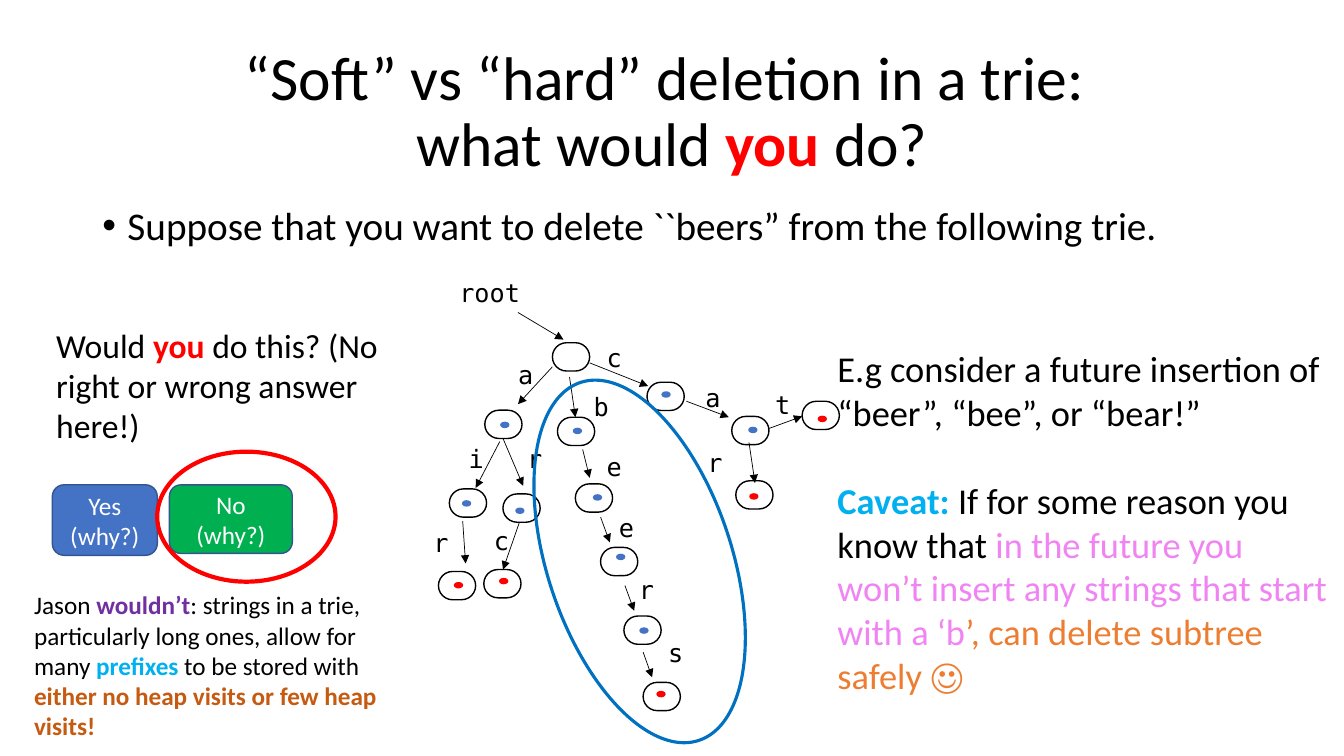
from lxml.etree import SubElement
from pptx import Presentation
from pptx.dml.color import RGBColor
from pptx.enum.shapes import MSO_CONNECTOR, MSO_SHAPE
from pptx.enum.text import MSO_ANCHOR as Anchor, MSO_AUTO_SIZE as AutoSize, PP_ALIGN as Align
from pptx.oxml.ns import qn
from pptx.util import Pt

COLOURS = {
    "black": "000000", "white": "FFFFFF", "red": "FF0000", "blue": "4472C4",
    "navy": "325491", "green": "00B050", "ring": "0070C0", "sky": "00B0F0",
    "pink": "F084F3", "orange": "ED7D31", "rust": "C55A11", "purple": "7030A0",
}
SANS, MONO = "Calibri", "DejaVu Sans Mono"
NODE_SIZE, DOT_SIZE = (26.6, 20.2), (5.6, 3.6)

# Each branch: letter, label position, arrow start, arrow end, node, dot, dot colour.
BRANCHES = [
    ("root", (321, 194.4), (370, 223.2), (402.5, 242.6), (394.6, 244.8), None, None),
    ("a", (363, 253.4), (394.6, 262), (370, 288.7), (346.3, 293), (357.8, 301.7), "blue"),
    ("b", (417, 275.8), (406.8, 269.3), (411, 298), (398.2, 298), (409.7, 306), "blue"),
    ("c", (426.2, 241.2), (421.2, 259.2), (463, 275.8), (462.2, 273), (473, 280), "blue"),
    ("e", (426.2, 319), (416.2, 321), (421.2, 341.3), (411, 345.6), (424, 353.5), "blue"),
    ("e", (435, 362.2), (429, 369.4), (435.6, 387.4), (429, 391), (440.6, 396), "blue"),
    ("r", (449.3, 406.8), (446.4, 418.3), (453, 436.3), (445.7, 440), (457.2, 448.6), "blue"),
    ("s", (470.2, 451.4), (459.4, 465.8), (465.8, 483.8), (459.4, 487.4), (469.4, 494), "red"),
    ("i", (327.6, 313.2), (357, 315.4), (339.8, 348.5), (321, 349.2), (330.5, 357.8), "blue"),
    ("r", (369.4, 313.2), (359.3, 313.2), (373.7, 347), (359.3, 352.8), (368.6, 363), "blue"),
    ("c", (345.6, 371.5), (370.8, 373.7), (359.3, 406.8), (345.6, 406.8), (357, 413.3), "red"),
    ("r", (302.4, 373), (330.5, 372.2), (332.6, 402.5), (313.2, 408.2), (324.7, 416.2), "red"),
    ("a", (496.8, 269.3), (490.3, 286.6), (520.6, 298), (522.7, 297.4), (535, 305.3), "blue"),
    ("r", (498.2, 316), (535, 316), (539.3, 345), (525.6, 343.4), (535.7, 352.8), "red"),
    ("t", (546.5, 274.3), (549.4, 306), (573, 297.4), (573, 286.6), (584.6, 297.4), "red"),
]


def colour(name):
    return RGBColor.from_string(COLOURS[name])


def write(paragraph, runs, size, font=SANS):
    """Add (text, colour, bold) runs, turning newlines into line breaks."""
    for text, colour_name, bold in runs:
        for index, line in enumerate(text.split("\n")):
            if index:
                paragraph.add_line_break()
            run = paragraph.add_run()
            run.text = line
            run.font.name = font
            run.font.size = Pt(size)
            run.font.bold = bold
            run.font.color.rgb = colour(colour_name)


def add_text(slide, box, paragraphs, size, font=SANS, gap=0):
    text_box = slide.shapes.add_textbox(*map(Pt, box))
    frame = text_box.text_frame
    frame.word_wrap = True
    for index, runs in enumerate(paragraphs):
        paragraph = frame.add_paragraph() if index else frame.paragraphs[0]
        if index:
            paragraph.space_before = Pt(gap)
        write(paragraph, runs, size, font)
    return text_box


def add_outline(slide, kind, box, fill, line, width=1):
    shape = slide.shapes.add_shape(kind, *map(Pt, box))
    shape.shadow.inherit = False
    if fill:
        shape.fill.solid()
        shape.fill.fore_color.rgb = colour(fill)
    else:
        shape.fill.background()
    shape.line.color.rgb = colour(line)
    shape.line.width = Pt(width)
    return shape


def add_arrow(slide, start, end):
    arrow = slide.shapes.add_connector(MSO_CONNECTOR.STRAIGHT, *map(Pt, start + end))
    arrow.line.color.rgb = colour("black")
    arrow.line.width = Pt(0.5)
    SubElement(arrow.line._get_or_add_ln(), qn("a:tailEnd"), type="triangle")
    SubElement(arrow._element.spPr, qn("a:effectLst"))


def add_branch(slide, letter, label, start, end, node, dot, dot_colour):
    oval = add_outline(slide, MSO_SHAPE.ROUNDED_RECTANGLE, node + NODE_SIZE, "white", "black")
    oval.adjustments[0] = 0.5
    add_arrow(slide, start, end)
    add_text(slide, label + (15 + 11.5 * len(letter), 28.8), [[(letter, "black", False)]], 18, MONO)
    if dot:
        add_outline(slide, MSO_SHAPE.OVAL, dot + DOT_SIZE, dot_colour, dot_colour)


def add_button(slide, box, text, fill):
    button = add_outline(slide, MSO_SHAPE.ROUNDED_RECTANGLE, box, fill, "navy")
    frame = button.text_frame
    frame.word_wrap = True
    frame.vertical_anchor = Anchor.MIDDLE
    frame.paragraphs[0].alignment = Align.CENTER
    write(frame.paragraphs[0], [(text, "white", False)], 18)


def set_title(slide, box, runs):
    title = slide.shapes.title
    title.left, title.top, title.width, title.height = map(Pt, box)
    frame = title.text_frame
    frame.word_wrap = True
    frame.auto_size = AutoSize.NONE
    frame.vertical_anchor = Anchor.MIDDLE
    paragraph = frame.paragraphs[0]
    paragraph.alignment = Align.CENTER
    paragraph.line_spacing = 0.9
    write(paragraph, runs, 44)


def add_bullet(slide, box, text):
    paragraph = add_text(slide, box, [[(text, "black", False)]], 28).text_frame.paragraphs[0]
    paragraph.line_spacing = 0.9
    properties = paragraph._p.get_or_add_pPr()
    properties.set("marL", str(Pt(18)))
    properties.set("indent", str(-Pt(18)))
    SubElement(properties, qn("a:buFont"), typeface="Arial")
    SubElement(properties, qn("a:buChar"), char="•")


def main():
    presentation = Presentation()
    presentation.slide_width, presentation.slide_height = Pt(960), Pt(540)
    slide = presentation.slides.add_slide(presentation.slide_layouts[5])

    set_title(slide, (66, 28.75, 828, 104.4), [
        ("“Soft” vs “hard” deletion in a trie: \nwhat would ", "black", False),
        ("you", "red", True), (" do?", "black", False)])
    add_bullet(slide, (66, 144, 828, 40),
               "Suppose that you want to delete ``beers” from the following trie.")

    for branch in BRANCHES:
        add_branch(slide, *branch)
    subtree_ring = add_outline(slide, MSO_SHAPE.OVAL, (391, 266.4, 131.8, 269.3), None, "ring", 2.25)
    subtree_ring.rotation = 341.7

    add_text(slide, (591.1, 244, 365.5, 259), [
        [("E.g consider a future insertion of “beer”, “bee”, or “bear!”", "black", False)],
        [("Caveat: ", "sky", True), ("If for some reason you know that ", "black", False),
         ("in the future you won’t insert any strings that start with a ‘b", "pink", False),
         ("’, can delete subtree safely ☺", "orange", False)]], 26, gap=31.7)
    add_text(slide, (33.1, 228.2, 247, 94.3), [
        [("Would ", "black", False), ("you ", "red", True),
         ("do this? (No right or wrong answer here!)", "black", False)]], 24)
    add_button(slide, (37.4, 346.3, 75, 50.4), "Yes\n(why?)", "blue")
    add_button(slide, (121, 346.3, 87.8, 49), "No\n(why?)", "green")
    add_text(slide, (17.3, 417.6, 285, 116.6), [
        [("Jason ", "black", False), ("wouldn’t", "purple", True),
         (": strings in a trie, particularly long ones, allow for many ", "black", False),
         ("prefixes ", "sky", True), ("to be stored with ", "black", False),
         ("either no heap visits or few heap visits!", "rust", True)]], 18)
    add_outline(slide, MSO_SHAPE.OVAL, (112.3, 322.6, 127.4, 92.9), None, "red", 3)

    presentation.save("out.pptx")


if __name__ == "__main__":
    main()
